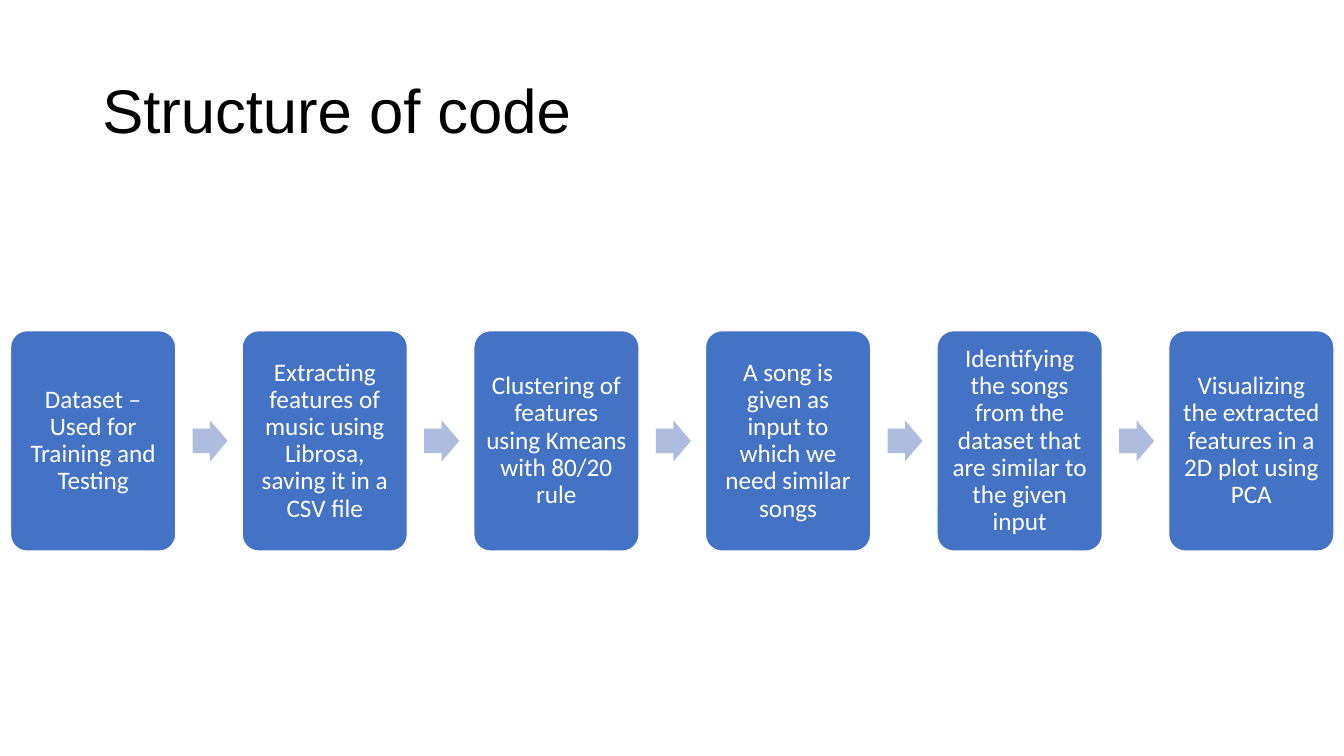
from dataclasses import dataclass

from pptx import Presentation
from pptx.dml.color import RGBColor
from pptx.enum import shapes, text
from pptx.util import Pt

BLACK = RGBColor(0x00, 0x00, 0x00)
WHITE = RGBColor(0xFF, 0xFF, 0xFF)
STEP_BLUE = RGBColor(0x44, 0x72, 0xC4)
ARROW_BLUE = RGBColor(0xB0, 0xBC, 0xDE)


@dataclass(frozen=True)
class Box:
    left: float
    top: float
    width: float
    height: float

    def shifted(self, distance: float) -> "Box":
        return Box(self.left + distance, self.top, self.width, self.height)

    def lengths(self) -> tuple[Pt, Pt, Pt, Pt]:
        return Pt(self.left), Pt(self.top), Pt(self.width), Pt(self.height)


TITLE = Box(66, 28.8, 828, 104.4)
FIRST_STEP = Box(7.5, 236.2, 118.1, 157.5)
FIRST_ARROW = Box(137.6, 300.3, 25, 29.3)
STEP_PITCH = 165.46
STEP_INSET = 5

STEPS = [
    "Dataset – Used for Training and Testing",
    "Extracting features of music using Librosa, saving it in a CSV file",
    "Clustering of features using Kmeans with 80/20 rule",
    "A song is given as input to which we need similar songs",
    "Identifying the songs from the dataset that are similar to the given input",
    "Visualizing the extracted features in a 2D plot using PCA",
]


def write(frame, wording: str, font: str, size: float, color: RGBColor,
          align: text.PP_ALIGN) -> None:
    frame.word_wrap = True
    frame.vertical_anchor = text.MSO_ANCHOR.MIDDLE
    paragraph = frame.paragraphs[0]
    paragraph.text = wording
    paragraph.alignment = align
    paragraph.line_spacing = 0.9
    paragraph.font.name = font
    paragraph.font.size = Pt(size)
    paragraph.font.color.rgb = color


def add_step(slide, box: Box, wording: str) -> None:
    step = slide.shapes.add_shape(shapes.MSO_SHAPE.ROUNDED_RECTANGLE, *box.lengths())
    step.adjustments[0] = 0.1
    step.shadow.inherit = False
    step.fill.solid()
    step.fill.fore_color.rgb = STEP_BLUE
    step.line.color.rgb = WHITE
    step.line.width = Pt(1)
    frame = step.text_frame
    frame.margin_left = frame.margin_right = Pt(STEP_INSET)
    frame.margin_top = frame.margin_bottom = Pt(STEP_INSET)
    write(frame, wording, "Calibri", 18, WHITE, text.PP_ALIGN.CENTER)


def add_arrow(slide, box: Box) -> None:
    arrow = slide.shapes.add_shape(shapes.MSO_SHAPE.RIGHT_ARROW, *box.lengths())
    arrow.adjustments[0] = 0.6
    arrow.adjustments[1] = 0.5
    arrow.shadow.inherit = False
    arrow.fill.solid()
    arrow.fill.fore_color.rgb = ARROW_BLUE
    arrow.line.fill.background()


def main() -> None:
    deck = Presentation()
    deck.slide_width, deck.slide_height = Pt(960), Pt(540)
    slide = deck.slides.add_slide(deck.slide_layouts[6])

    # Title
    title = slide.shapes.add_textbox(*TITLE.lengths())
    write(title.text_frame, "Structure of code", "Arial", 44, BLACK, text.PP_ALIGN.LEFT)

    # Steps, with an arrow after each but the last
    for index, wording in enumerate(STEPS):
        offset = index * STEP_PITCH
        add_step(slide, FIRST_STEP.shifted(offset), wording)
        if index < len(STEPS) - 1:
            add_arrow(slide, FIRST_ARROW.shifted(offset))

    deck.save("out.pptx")


if __name__ == "__main__":
    main()
